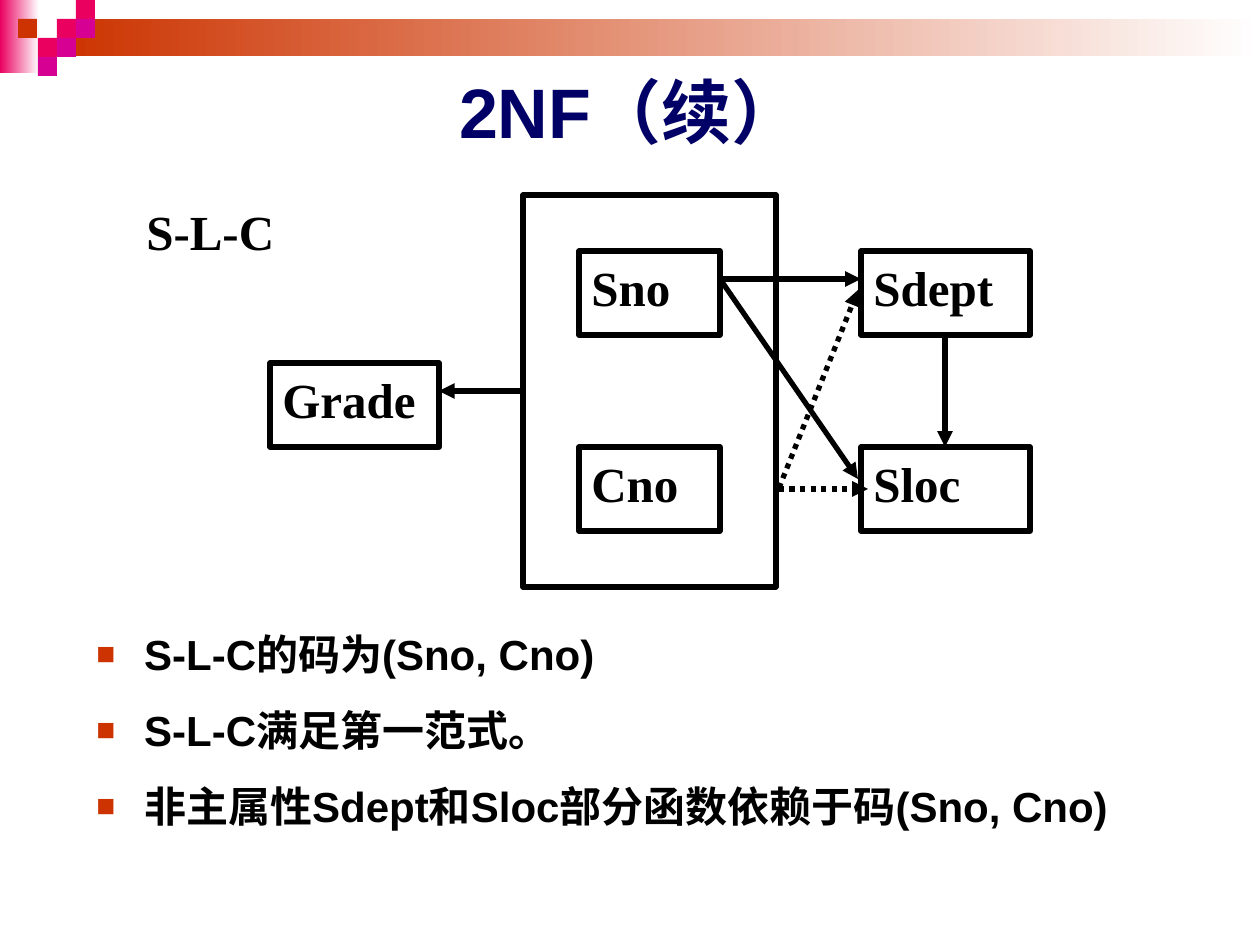
from typing import NamedTuple, Optional

from lxml.etree import SubElement
from pptx import Presentation
from pptx.dml.color import RGBColor
from pptx.enum.dml import MSO_LINE as Dash
from pptx.enum.shapes import MSO_CONNECTOR as Conn, MSO_SHAPE as Kind
from pptx.enum.text import MSO_ANCHOR as Anchor, MSO_AUTO_SIZE as Fit, PP_ALIGN as Align
from pptx.oxml.ns import qn
from pptx.util import Emu, Inches, Pt

SCALE = 914400 / 126
BLACK, NAVY, WHITE = "000000", "000066", "FFFFFF"
PINK, PLUM, RUST = "EA005F", "D60093", "CC3300"
SERIF, SANS = "Times New Roman", "Arial"


class Tile(NamedTuple):
    x: int
    y: int
    w: int
    h: int
    fill: str
    fade: bool = False


class Node(NamedTuple):
    x: int
    y: int
    w: int
    h: int
    text: str = ""


class Arrow(NamedTuple):
    x1: int
    y1: int
    x2: int
    y2: int
    dash: Optional[Dash] = None


SIDE = 19
TILES = [
    Tile(0, 0, 39, 73, PINK, True),
    Tile(57, 19, 1203, 37, RUST, True),
    *(Tile(x, y, SIDE, SIDE, fill) for x, y, fill in [
        (57, 19, PINK), (76, 0, PINK), (76, 19, PLUM), (38, 38, PINK),
        (18, 19, RUST), (57, 38, PLUM), (38, 57, PLUM)]),
]
TOP, LOW, HIGH = 251, 447, 84
NODES = [
    Node(523, 195, 253, 392),
    Node(579, TOP, 141, HIGH, "Sno"),
    Node(579, LOW, 141, HIGH, "Cno"),
    Node(270, 363, 169, HIGH, "Grade"),
    Node(861, TOP, 169, HIGH, "Sdept"),
    Node(861, LOW, 169, HIGH, "Sloc"),
]
ARROWS = [
    Arrow(523, 391, 439, 391),
    Arrow(720, 279, 861, 279),
    Arrow(720, 279, 858, 479),
    Arrow(779, 488, 858, 290, Dash.ROUND_DOT),
    Arrow(779, 489, 868, 489, Dash.ROUND_DOT),
    Arrow(945, 335, 945, 447),
]
NOTES = [
    "S-L-C的码为(Sno, Cno)",
    "S-L-C满足第一范式。",
    "非主属性Sdept和Sloc部分函数依赖于码(Sno, Cno)",
]


def px(*nums: int) -> list[Emu]:
    return [Emu(round(n * SCALE)) for n in nums]


def rgb(code: str) -> RGBColor:
    return RGBColor.from_string(code)


def style(para, face: str, size: int, ink: str = BLACK) -> None:
    for run in para.runs:
        font = run.font
        font.name, font.size, font.bold = face, Pt(size), True
        font.color.rgb = rgb(ink)


def label(shape, text: str) -> None:
    frame = shape.text_frame
    frame.word_wrap = True
    frame.vertical_anchor = Anchor.TOP
    frame.text = text
    para = frame.paragraphs[0]
    para.alignment = Align.JUSTIFY
    style(para, SERIF, 28)


def rect(slide, box):
    shape = slide.shapes.add_shape(Kind.RECTANGLE, *px(box.x, box.y, box.w, box.h))
    shape.shadow.inherit = False
    return shape


def draw_tile(slide, tile: Tile) -> None:
    shape = rect(slide, tile)
    shape.line.fill.background()
    fill = shape.fill
    if tile.fade:
        fill.gradient()
        fill.gradient_angle = 0
        for stop, code, pos in zip(fill.gradient_stops, (tile.fill, WHITE), (0, 1)):
            stop.color.rgb = rgb(code)
            stop.position = pos
    else:
        fill.solid()
        fill.fore_color.rgb = rgb(tile.fill)


def draw_node(slide, node: Node) -> None:
    shape = rect(slide, node)
    shape.fill.background()
    shape.line.color.rgb = rgb(BLACK)
    shape.line.width = Pt(3)
    if node.text:
        label(shape, node.text)


def draw_arrow(slide, arrow: Arrow) -> None:
    ends = px(arrow.x1, arrow.y1, arrow.x2, arrow.y2)
    link = slide.shapes.add_connector(Conn.STRAIGHT, *ends)
    line = link.line
    line.color.rgb = rgb(BLACK)
    line.width = Pt(3)
    if arrow.dash:
        line.dash_style = arrow.dash
    props = link._element.spPr
    SubElement(props.find(qn("a:ln")), qn("a:tailEnd"), type="triangle")
    SubElement(props, qn("a:effectLst"))


def draw_title(slide, text: str) -> None:
    title = slide.shapes.title
    title.left, title.top, title.width, title.height = px(63, 45, 1134, 132)
    frame = title.text_frame
    frame.text = text
    frame.auto_size = Fit.NONE
    frame.vertical_anchor = Anchor.MIDDLE
    para = frame.paragraphs[0]
    para.alignment = Align.CENTER
    style(para, SANS, 40, NAVY)


def add_mark(para) -> None:
    props = para._p.get_or_add_pPr()
    dent = Inches(0.38)
    props.set("marL", str(dent))
    props.set("indent", str(-dent))
    tint = SubElement(props, qn("a:buClr"))
    SubElement(tint, qn("a:srgbClr"), val=RUST)
    SubElement(props, qn("a:buSzPct"), val="75000")
    SubElement(props, qn("a:buFont"), typeface=SANS)
    SubElement(props, qn("a:buChar"), char="■")


def draw_notes(slide, notes: list[str]) -> None:
    frame = slide.shapes.add_textbox(*px(84, 607, 1134, 248)).text_frame
    frame.word_wrap = True
    frame.text = "\n".join(notes)
    for para in frame.paragraphs:
        para.line_spacing = 1.3
        para.space_before = Pt(6)
        add_mark(para)
        style(para, SANS, 24)


def main() -> None:
    deck = Presentation()
    deck.slide_width, deck.slide_height = Inches(10), Inches(7.5)
    slide = deck.slides.add_slide(deck.slide_layouts[5])
    for tile in TILES:
        draw_tile(slide, tile)
    draw_title(slide, "2NF（续）")
    draw_notes(slide, NOTES)
    for node in NODES:
        draw_node(slide, node)
    for arrow in ARROWS:
        draw_arrow(slide, arrow)
    label(slide.shapes.add_textbox(*px(134, 195, 200, 73)), "S-L-C")
    deck.save("out.pptx")


if __name__ == "__main__":
    main()
